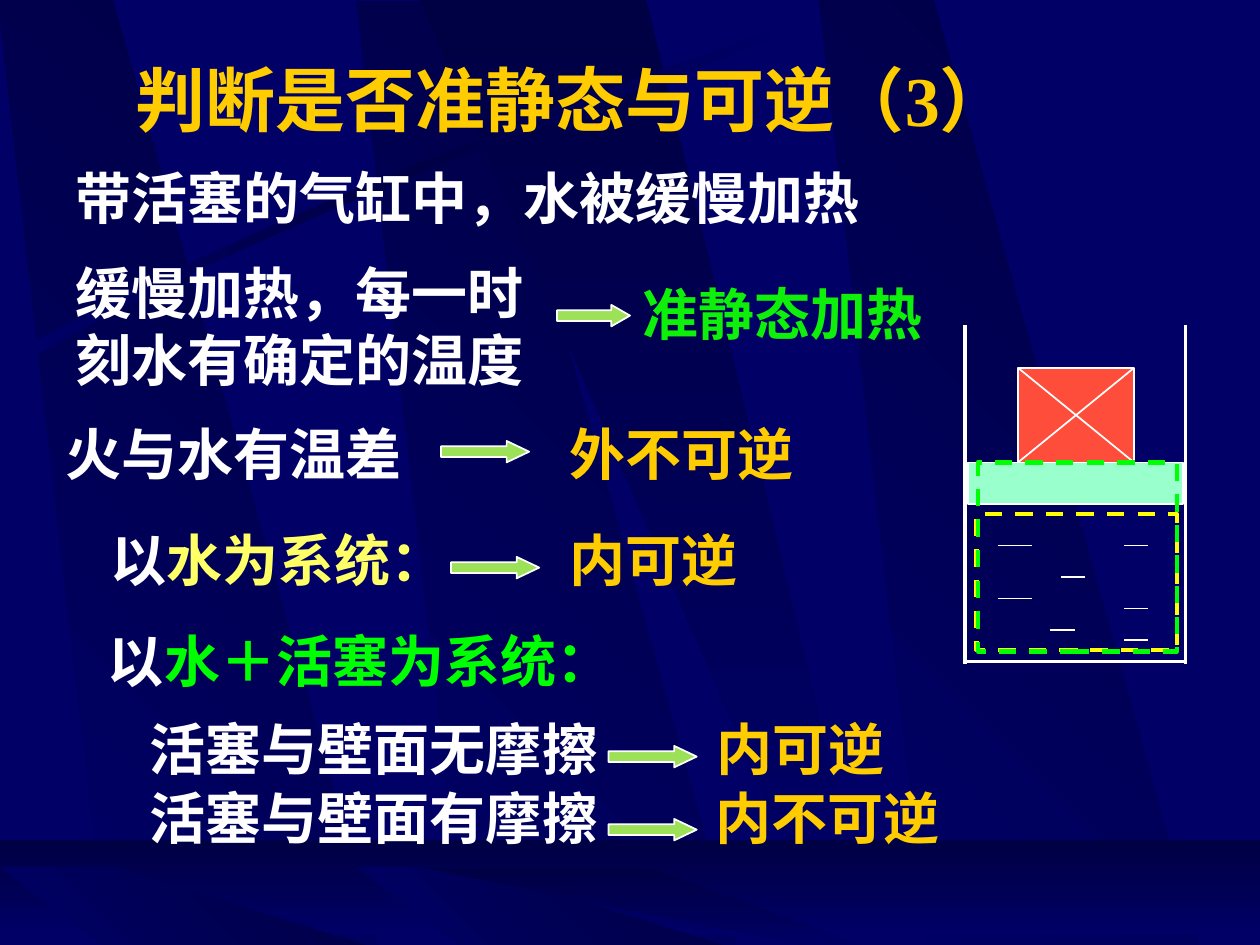
from copy import deepcopy
from lxml.etree import SubElement
from pptx import Presentation
from pptx.dml.color import RGBColor
from pptx.enum.dml import MSO_LINE
from pptx.enum.shapes import MSO_CONNECTOR, MSO_SHAPE
from pptx.enum.text import MSO_ANCHOR, PP_ALIGN
from pptx.oxml.ns import qn
from pptx.util import Inches, Pt

THEME = {
    "navy": "000066", "dark": "000044", "white": "FFFFFF", "gold": "FFCC00",
    "green": "0EEF09", "lime": "00FF00", "yellow": "FFFF66", "arrow": "9CE157",
    "piston": "99FFCC", "weight": "FE4D3A", "water_dash": "FFFF00",
    "latin": "Times New Roman", "cjk": "Noto Sans CJK SC",
    "title_size": 40, "body_size": 32,
}

TITLE = "判断是否准静态与可逆（3）"
STATEMENTS = [
    (0.5, 1.25, 8.17, 0.64, True, [("带活塞的气缸中，水被缓慢加热", "white")]),
    (0.5, 2, 3.83, 1.17, True, [("缓慢加热，每一时刻水有确定的温度", "white")]),
    (5, 2.17, 2.42, 0.64, False, [("准静态加热", "green")]),
    (0.42, 3.28, 2.87, 0.64, False, [("火与水有温差", "white")]),
    (4.42, 3.28, 1.98, 0.64, False, [("外不可逆", "gold")]),
    (0.78, 4.12, 2.87, 0.64, False, [("以", "white"), ("水为系统：", "yellow")]),
    (4.42, 4.12, 1.53, 0.64, False, [("内可逆", "gold")]),
    (0.76, 4.92, 4.2, 0.64, False, [("以", "white"), ("水＋活塞为系统：", "lime")]),
    (1.09, 5.62, 3.76, 0.64, False, [("活塞与壁面无摩擦", "white")]),
    (5.59, 5.62, 1.53, 0.64, False, [("内可逆", "gold")]),
    (1.09, 6.17, 3.76, 0.64, False, [("活塞与壁面有摩擦", "white")]),
    (5.58, 6.17, 2.45, 0.64, True, [("内不可逆", "gold")]),
]
ARROWS = [(4.42, 2.42, 0.58, 0.87), (3.5, 3.5, 0.7, 1.05), (3.58, 4.42, 0.7, 1.05),
          (4.83, 5.92, 0.7, 1.05), (4.83, 6.5, 0.7, 1.05)]
CYLINDER = [(7.66, 2.58, 7.66, 5.27), (9.41, 2.58, 9.41, 5.27), (7.67, 5.25, 9.41, 5.25)]
PISTON = (7.68, 3.67, 1.71, 0.33)
WEIGHT = (8.08, 2.92, 0.92, 0.75)
RIPPLES = [(7.92, 4.33, 0.27), (8.42, 4.58, 0.19), (7.92, 4.75, 0.27), (8.92, 4.83, 0.19),
           (8.92, 4.33, 0.19), (8.92, 5.08, 0.19), (8.33, 5, 0.2)]
SYSTEMS = [(7.75, 4.08, 1.59, 1.08, "water_dash"), (7.76, 3.67, 1.58, 1.5, "lime")]

SLANT = [(0.86, 1), (3.02, 1), (0.91, 0), (0, 0)]
STREAK = [(0, 0), (3.25, 1), (3.61, 1), (1.8, 0)]
FADE, RISE = ("navy", "dark"), ("dark", "navy")
UPPER_BANDS = [(2.83, 0.01, 7.52, SLANT, FADE, 45), (-0.02, -0.02, 7.52, SLANT, FADE, 45),
               (6.5, 0, 7.52, SLANT, FADE, 45), (3.33, 0, 7.51, STREAK, RISE, 270)]
LOWER_BANDS = [(2.83, 6.88, 0.66, SLANT, FADE, 45), (0, 6.88, 0.66, SLANT, FADE, 45),
               (3.33, 6.88, 0.66, STREAK, RISE, 270)]
ARC_TOP = [(0.2, 2.75), (2.84, 1.34), (5.24, 0.59), (6.26, 0.18)]
ARC_BOTTOM = [(6.29, 0.24), (5.28, 0.69), (2.54, 1.51), (0.23, 2.85)]


def color(name):
    return RGBColor.from_string(THEME[name])


def gradient(sp, names, angle):
    sp.shadow.inherit = False
    sp.line.fill.background()
    sp.fill.gradient()
    sp.fill.gradient_angle = angle
    stops = sp.fill.gradient_stops
    for stop, name, position in zip(stops, names, (0, 1)):
        stop.color.rgb = color(name)
        stop.position = position
    return sp


def polygon(s, points):
    start, *rest = [(Inches(x), Inches(y)) for x, y in points]
    builder = s.shapes.build_freeform(*start)
    builder.add_line_segments(rest, close=True)
    return builder.convert_to_shape()


def bezier(controls, steps=24):
    for i in range(steps + 1):
        t = i / steps
        weights = ((1 - t) ** 3, 3 * t * (1 - t) ** 2, 3 * t * t * (1 - t), t ** 3)
        yield tuple(sum(w * c[axis] for w, c in zip(weights, controls)) for axis in (0, 1))


def bands(s, items):
    for left, top, height, outline, names, angle in items:
        points = [(left + x, top + y * height) for x, y in outline]
        gradient(polygon(s, points), names, angle)


def backdrop(s):
    s.background.fill.solid()
    s.background.fill.fore_color.rgb = color("navy")
    bands(s, UPPER_BANDS)
    arc = gradient(polygon(s, [*bezier(ARC_TOP), *bezier(ARC_BOTTOM)]), ("navy", "navy"), 0)
    stops = arc.element.spPr.find(qn("a:gradFill")).find(qn("a:gsLst"))
    stops.insert(1, deepcopy(stops[0]))
    middle = arc.fill.gradient_stops[1]
    middle.position = 0.5
    middle.color.rgb = color("dark")
    floor = s.shapes.add_shape(MSO_SHAPE.RECTANGLE, 0, Inches(6.67), Inches(10), Inches(0.75))
    gradient(floor, RISE, 270)
    bands(s, LOWER_BANDS)


def style_run(r, size, name):
    r.font.name = THEME["latin"]
    r.font.size = Pt(size)
    r.font.bold = True
    r.font.color.rgb = color(name)
    SubElement(r.font._element, qn("a:ea")).set("typeface", THEME["cjk"])


def add_title(s):
    title = s.shapes.title
    title.element.getparent().append(title.element)
    title.left, title.top, title.width, title.height = map(Inches, (0.42, 0.4, 8.25, 0.77))
    tf = title.text_frame
    tf.text = TITLE
    tf.vertical_anchor = MSO_ANCHOR.MIDDLE
    tf.paragraphs[0].alignment = PP_ALIGN.CENTER
    style_run(tf.paragraphs[0].runs[0], THEME["title_size"], "gold")


def add_statement(s, left, top, width, height, wrap, parts):
    tf = s.shapes.add_textbox(*map(Inches, (left, top, width, height))).text_frame
    tf.word_wrap = wrap
    tf.margin_left = tf.margin_right = Inches(0.1 if wrap else 0.05)
    p = tf.paragraphs[0]
    p.alignment = PP_ALIGN.LEFT if wrap else PP_ALIGN.CENTER
    for text, name in parts:
        r = p.add_run()
        r.text = text
        style_run(r, THEME["body_size"], name)


def add_block(s, kind, box, fill, line="white", width=1):
    sp = s.shapes.add_shape(kind, *map(Inches, box))
    sp.shadow.inherit = False
    if fill:
        sp.fill.solid()
        sp.fill.fore_color.rgb = color(fill)
    else:
        sp.fill.background()
    sp.line.color.rgb = color(line)
    sp.line.width = Pt(width)
    return sp


def add_line(s, ends, width=1):
    line = s.shapes.add_connector(MSO_CONNECTOR.STRAIGHT, *map(Inches, ends))
    line.line.color.rgb = color("white")
    line.line.width = Pt(width)
    SubElement(line.element.spPr, qn("a:effectLst"))


def add_cylinder(s):
    for ends in CYLINDER:
        add_line(s, ends, 2)
    add_block(s, MSO_SHAPE.RECTANGLE, PISTON, "piston")
    add_block(s, MSO_SHAPE.RECTANGLE, WEIGHT, "weight")
    x, y, w, h = WEIGHT
    add_line(s, (x, y, x + w, y + h))
    add_line(s, (x + w, y, x, y + h))
    for x, y, length in RIPPLES:
        add_line(s, (x, y, x + length, y))
    for *box, name in SYSTEMS:
        add_block(s, MSO_SHAPE.RECTANGLE, box, None, name, 2.5).line.dash_style = MSO_LINE.DASH


def main():
    """Build the quasi-static and reversibility slide."""
    prs = Presentation()
    prs.slide_width, prs.slide_height = Inches(10), Inches(7.5)
    s = prs.slides.add_slide(prs.slide_layouts[5])
    backdrop(s)
    add_title(s)
    for statement in STATEMENTS:
        add_statement(s, *statement)
    for x, y, width, head in ARROWS:
        arrow = add_block(s, MSO_SHAPE.RIGHT_ARROW, (x, y, width, 0.17), "arrow")
        arrow.adjustments[1] = head
    add_cylinder(s)
    prs.save("out.pptx")


if __name__ == "__main__":
    main()
